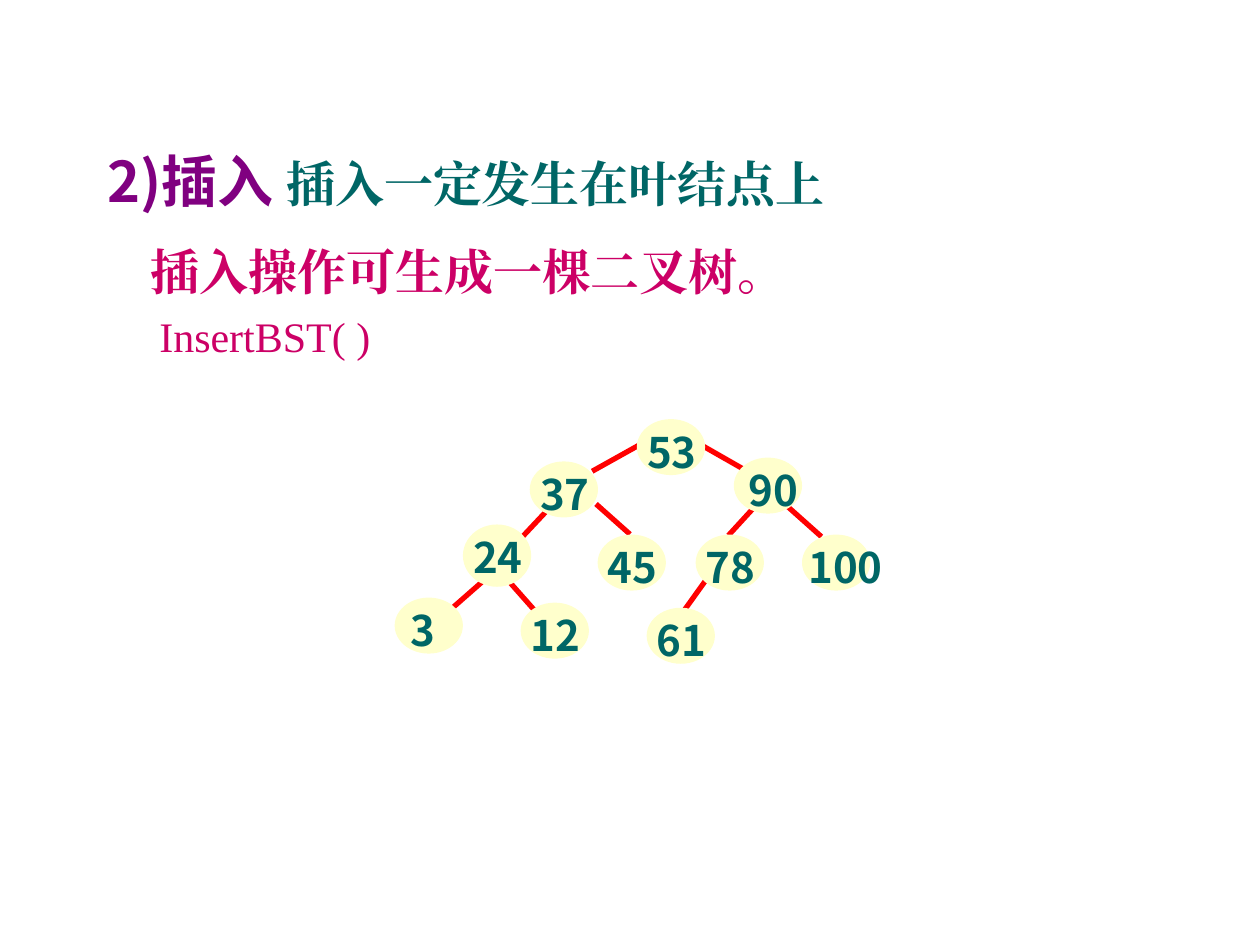
from lxml import etree
from pptx import Presentation
from pptx import util as u
from pptx.dml import color
from pptx.enum import shapes, text
from pptx.oxml import ns

TEAL, PURPLE, PINK, RED, CREAM = "006666", "800080", "CC0066", "FF0000", "FFFFCC"
SERIF, SANS, HEADING = "Times New Roman", "Noto Sans CJK SC", "Noto Sans CJK JP"
NODE_W, NODE_H = 38, 31


def paint(target, hex_colour):
    target.rgb = color.RGBColor.from_string(hex_colour)


def add_run(paragraph, words, size, face, hex_colour, bold=True):
    run = paragraph.add_run()
    run.text = words
    run.font.size = u.Pt(size)
    run.font.name = face
    run.font.bold = bold
    paint(run.font.color, hex_colour)
    east_asian = etree.SubElement(run.font._element, ns.qn("a:ea"))
    east_asian.set("typeface", face)


def prepare_frame(frame, left_inset=7.2):
    frame.word_wrap = True
    frame.auto_size = text.MSO_AUTO_SIZE.NONE
    frame.vertical_anchor = text.MSO_ANCHOR.TOP
    frame.margin_left, frame.margin_right = u.Pt(left_inset), u.Pt(7.2)
    frame.margin_top = frame.margin_bottom = u.Pt(3.6)
    return frame


def place_heading(slide, left, top, width, height):
    heading = slide.shapes.title
    heading.left, heading.top = u.Pt(left), u.Pt(top)
    heading.width, heading.height = u.Pt(width), u.Pt(height)
    line = prepare_frame(heading.text_frame).paragraphs[0]
    line.alignment = text.PP_ALIGN.LEFT
    line.line_spacing = 1.0
    line.space_before = u.Pt(0)
    add_run(line, "2)插入 ", 32, HEADING, PURPLE)
    add_run(line, "插入一定发生在叶结点上", 28, SERIF, TEAL)


def place_explanation(slide, left, top, width, height):
    box = slide.shapes.add_textbox(u.Pt(left), u.Pt(top), u.Pt(width), u.Pt(height))
    frame = prepare_frame(box.text_frame)
    statement, function_call = frame.paragraphs[0], frame.add_paragraph()
    for line, indent in ((statement, 25), (function_call, 30)):
        line._p.get_or_add_pPr().set("marL", str(u.Pt(indent)))
    function_call.space_before = u.Pt(6)
    add_run(statement, "插入操作可生成一棵二叉树。", 28, SERIF, PINK)
    add_run(function_call, "InsertBST( )", 24, SERIF, PINK, bold=False)


def add_branch(slide, x1, y1, x2, y2):
    branch = slide.shapes.add_connector(
        shapes.MSO_CONNECTOR.STRAIGHT, u.Pt(x1), u.Pt(y1), u.Pt(x2), u.Pt(y2))
    paint(branch.line.color, RED)
    branch.line.width = u.Pt(3)
    etree.SubElement(branch._element.spPr, ns.qn("a:effectLst"))


def add_node(slide, key, x, y, height=NODE_H, label_width=54, inset=9.4):
    node = slide.shapes.add_shape(
        shapes.MSO_SHAPE.OVAL, u.Pt(x), u.Pt(y), u.Pt(NODE_W), u.Pt(height))
    node.shadow.inherit = False
    node.fill.solid()
    paint(node.fill.fore_color, CREAM)
    paint(node.line.color, CREAM)
    node.line.width = u.Pt(1)
    label = slide.shapes.add_textbox(
        u.Pt(x - 4), u.Pt(y), u.Pt(label_width), u.Pt(36))
    frame = prepare_frame(label.text_frame, inset)
    add_run(frame.paragraphs[0], key, 24, SANS, TEAL)


def place_search_tree(slide, left, top):
    branches = [
        (112.4, 29.3, 143.4, 12), (170.7, 12, 201, 29.3),
        (224, 49.4, 243.4, 66.7), (52.6, 89.8, 28.9, 110.6),
        (84.3, 114.2, 62.7, 89.8), (206.7, 48, 190.2, 66),
        (114.6, 48, 134, 65.3), (90.1, 48, 67.8, 71.8),
        (178.6, 89.8, 162.1, 112.8),
    ]
    nodes = [
        ("61", 144, 107.8, {}), ("90", 193.8, 22, {"inset": 11.8}),
        ("100", 232.8, 66, {"label_width": 73.4, "inset": 7.2}),
        ("53", 138.4, 0, {}), ("45", 116, 66, {}), ("78", 172, 66, {}),
        ("12", 72, 104.9, {}), ("3", 0, 102, {"inset": 12.6}),
        ("37", 77.2, 24.2, {}), ("24", 39, 60.2, {"height": 34.6}),
    ]
    for x1, y1, x2, y2 in branches:
        add_branch(slide, left + x1, top + y1, left + x2, top + y2)
    for key, x, y, options in nodes:
        add_node(slide, key, left + x, top + y, **options)


def main():
    deck = Presentation()
    deck.slide_width, deck.slide_height = u.Pt(720), u.Pt(540)
    slide = deck.slides.add_slide(deck.slide_layouts[5])
    place_heading(slide, 54, 80.4, 612, 54)
    place_explanation(slide, 54, 134.3, 612, 72)
    place_search_tree(slide, 226, 240)
    deck.save("out.pptx")


if __name__ == "__main__":
    main()
